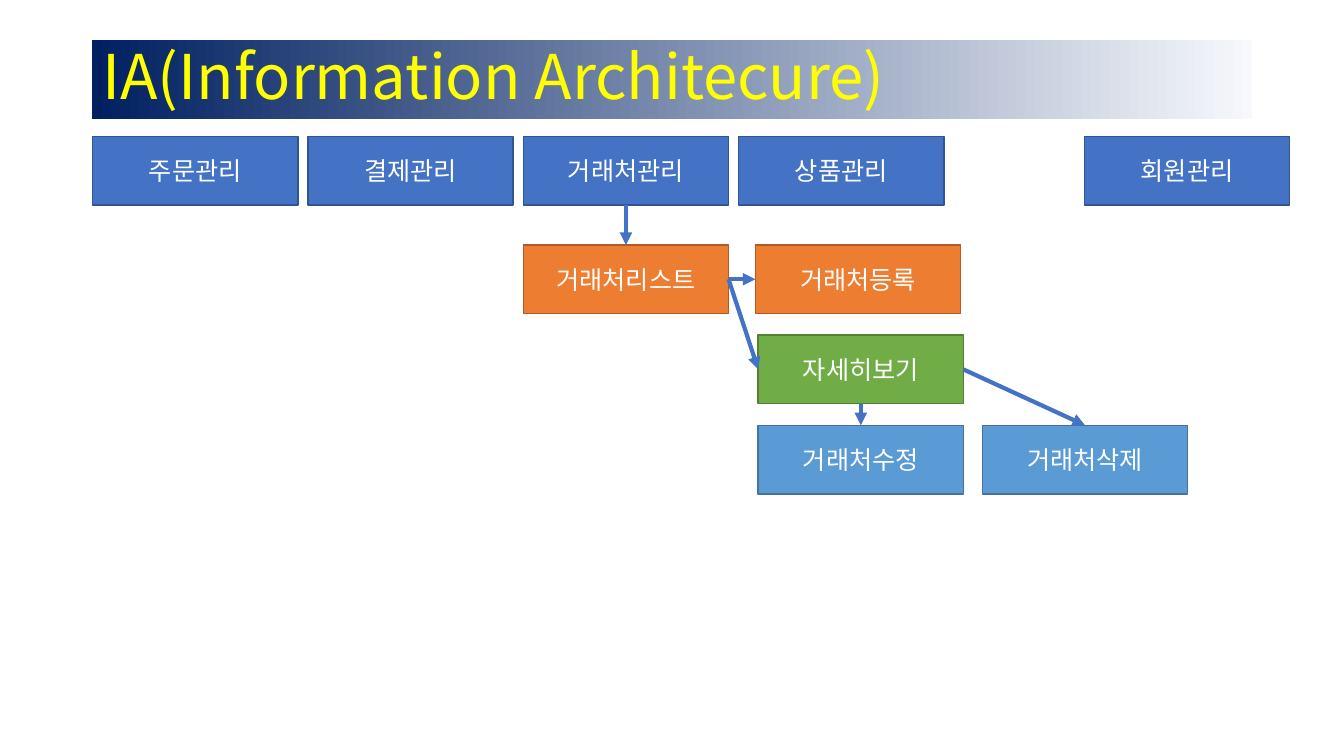
"""Build the information architecture slide with its menu and page flow."""
import lxml.etree
import pptx
import pptx.dml.color
import pptx.enum.shapes
import pptx.enum.text
import pptx.oxml.ns
import pptx.util

Pt = pptx.util.Pt
RGB = pptx.dml.color.RGBColor.from_string
qn = pptx.oxml.ns.qn


class Theme:
    font = "Noto Sans CJK KR"
    title_size, box_size = Pt(44), Pt(18)
    title, text = RGB("FFFF00"), RGB("FFFFFF")
    fade, navy = RGB("F6F8FC"), RGB("002060")
    arrow = RGB("4472C4")
    menu = RGB("4472C4"), RGB("325491")
    page = RGB("ED7D31"), RGB("AF5C24")
    detail = RGB("70AD47"), RGB("538035")
    action = RGB("5B9BD5"), RGB("43739E")


def set_text(sp, text, size, color, align):
    tf = sp.text_frame
    tf.text = text
    tf.word_wrap = True
    tf.auto_size = pptx.enum.text.MSO_AUTO_SIZE.NONE
    tf.vertical_anchor = pptx.enum.text.MSO_ANCHOR.MIDDLE
    p = tf.paragraphs[0]
    p.alignment = align
    r = p.runs[0]
    r.font.size, r.font.name, r.font.color.rgb = size, Theme.font, color
    ea = lxml.etree.SubElement(r.font._element, qn("a:ea"))
    ea.set("typeface", Theme.font)
    return p


prs = pptx.Presentation()
prs.slide_width, prs.slide_height = Pt(960), Pt(540)
s = prs.slides.add_slide(prs.slide_layouts[5])

title = s.shapes.title
title.left, title.top, title.width, title.height = Pt(66), Pt(28.8), Pt(828), Pt(56.2)
p = set_text(title, "IA(Information Architecure)", Theme.title_size, Theme.title,
             pptx.enum.text.PP_ALIGN.LEFT)
p.line_spacing = 0.9
title.fill.gradient()
title.fill.gradient_angle = 180
for stop, position, color in zip(title.fill.gradient_stops, (0, 1), (Theme.fade, Theme.navy)):
    stop.position, stop.color.rgb = position, color

box_width, box_height = 146.6, 49
menu_left, menu_top, menu_pitch = 66.2, 97.4, 153.8
page_top, row_pitch = 175, 64.4
detail_left = 541.6
detail_top, action_top = page_top + row_pitch, page_top + 2 * row_pitch

boxes = [(name, menu_left + i * menu_pitch, menu_top, Theme.menu)
         for i, name in enumerate(("주문관리", "결제관리", "거래처관리", "상품관리"))]
boxes += [
    ("회원관리", 774.6, menu_top, Theme.menu),
    ("거래처리스트", menu_left + 2 * menu_pitch, page_top, Theme.page),
    ("거래처등록", 539.6, page_top, Theme.page),
    ("자세히보기", detail_left, detail_top, Theme.detail),
    ("거래처수정", detail_left, action_top, Theme.action),
    ("거래처삭제", 701.8, action_top, Theme.action),
]
shapes = {}
for name, left, top, (fill, line) in boxes:
    sp = s.shapes.add_shape(pptx.enum.shapes.MSO_SHAPE.RECTANGLE,
                            Pt(left), Pt(top), Pt(box_width), Pt(box_height))
    sp.shadow.inherit = False
    sp.fill.solid()
    sp.fill.fore_color.rgb = fill
    sp.line.color.rgb = line
    sp.line.width = Pt(1)
    set_text(sp, name, Theme.box_size, Theme.text, pptx.enum.text.PP_ALIGN.CENTER)
    shapes[name] = sp

TOP, LEFT, BOTTOM, RIGHT = range(4)
arrows = [
    ("거래처관리", BOTTOM, "거래처리스트", TOP),
    ("거래처리스트", RIGHT, "거래처등록", LEFT),
    ("거래처리스트", RIGHT, "자세히보기", LEFT),
    ("자세히보기", BOTTOM, "거래처수정", TOP),
    ("자세히보기", RIGHT, "거래처삭제", TOP),
]
for source, start, target, end in arrows:
    cxn = s.shapes.add_connector(pptx.enum.shapes.MSO_CONNECTOR.STRAIGHT, 0, 0, 0, 0)
    cxn.begin_connect(shapes[source], start)
    cxn.end_connect(shapes[target], end)
    cxn.line.color.rgb = Theme.arrow
    cxn.line.width = Pt(3)
    ln = cxn.line._get_or_add_ln()
    lxml.etree.SubElement(ln, qn("a:tailEnd")).set("type", "triangle")
    lxml.etree.SubElement(cxn._element.spPr, qn("a:effectLst"))

prs.save("out.pptx")
